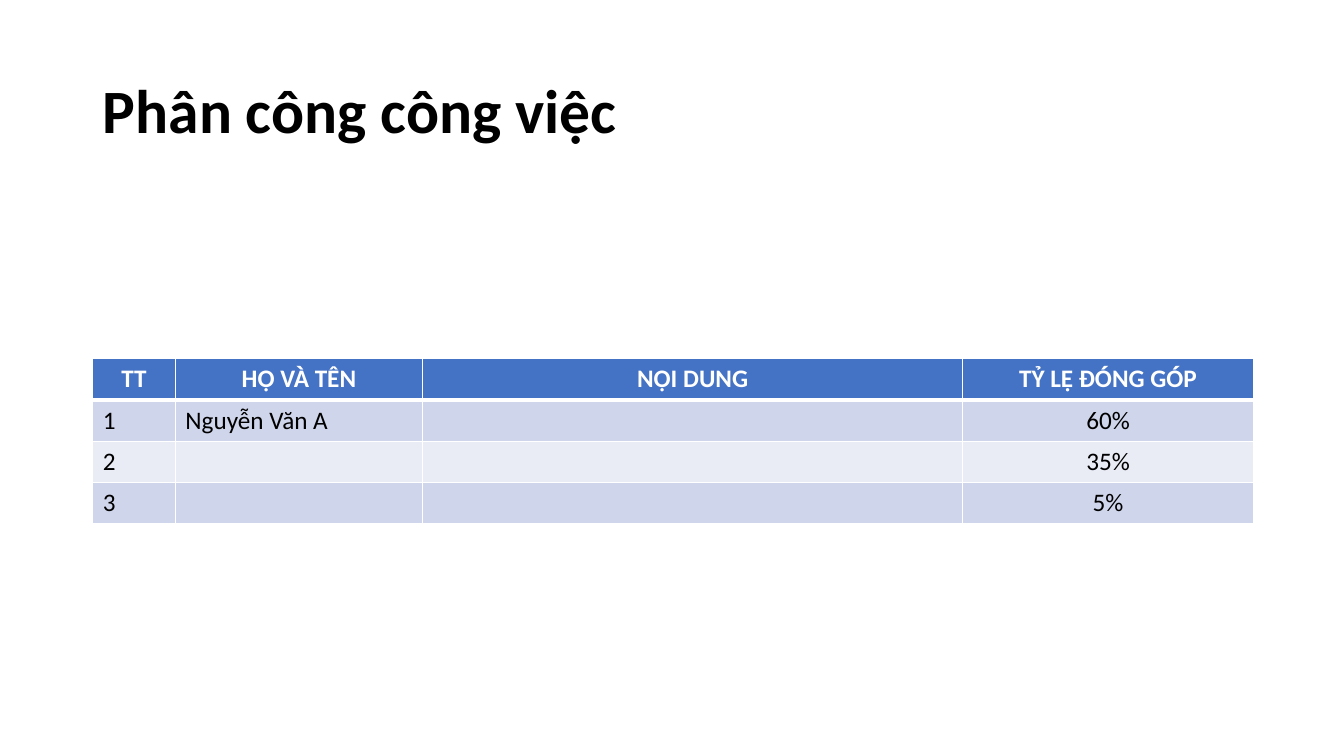
from lxml import etree
from pptx import Presentation
from pptx import util as u
from pptx.dml.color import RGBColor
from pptx.enum import text
from pptx.oxml.ns import qn

WHITE, BLACK, HEADER = "FFFFFF", "000000", "4472C4"
BANDS = ["E9EBF5", "CFD5EA"]


def style(para, size, color, bold, align):
    para.alignment = align
    para.font.name = "Calibri"
    para.font.size = u.Pt(size)
    para.font.bold = bold
    para.font.color.rgb = RGBColor.from_string(color)


def add_border(cell, side, points):
    line = etree.SubElement(cell._tc.get_or_add_tcPr(), qn(f"a:ln{side}"), w=str(u.Pt(points)))
    fill = etree.SubElement(line, qn("a:solidFill"))
    etree.SubElement(fill, qn("a:srgbClr"), val=WHITE)


deck = Presentation()
deck.slide_width, deck.slide_height = u.Inches(13.33), u.Inches(7.5)
page = deck.slides.add_slide(deck.slide_layouts[5])
left, width = u.Inches(0.92), u.Inches(11.5)

# Title
title = page.shapes.title
title.left, title.top, title.width, title.height = left, u.Inches(0.4), width, u.Inches(1.45)
title.text_frame.text = "Phân công công việc"
title.text_frame.vertical_anchor = text.MSO_ANCHOR.MIDDLE
heading = title.text_frame.paragraphs[0]
heading.line_spacing = 0.9
style(heading, 44, BLACK, True, text.PP_ALIGN.LEFT)

# Work assignment table
rows = [
    ["TT", "HỌ VÀ TÊN", "NỘI DUNG", "TỶ LỆ ĐÓNG GÓP"],
    ["1", "Nguyễn Văn A", "", "60%"],
    ["2", "", "", "35%"],
    ["3", "", "", "5%"],
]
column_widths = [0.82, 2.45, 5.36, 2.88]
row_height = u.Inches(0.41)
table = page.shapes.add_table(len(rows), len(column_widths), left, u.Inches(3.56),
                              width, row_height * len(rows)).table
for column, inches in zip(table.columns, column_widths):
    column.width = u.Inches(inches)

for r, row in enumerate(rows):
    table.rows[r].height = row_height
    is_header = r == 0
    for c, words in enumerate(row):
        cell = table.cell(r, c)
        cell.text = words
        centred = is_header or c == len(row) - 1
        style(cell.text_frame.paragraphs[0], 18, WHITE if is_header else BLACK, is_header,
              text.PP_ALIGN.CENTER if centred else text.PP_ALIGN.LEFT)

        # White grid, with a heavier rule under the header
        for side in "LRTB":
            under_header = (r, side) in [(0, "B"), (1, "T")]
            add_border(cell, side, 3 if under_header else 1)
        cell.fill.solid()
        cell.fill.fore_color.rgb = RGBColor.from_string(HEADER if is_header else BANDS[r % 2])

deck.save("out.pptx")
